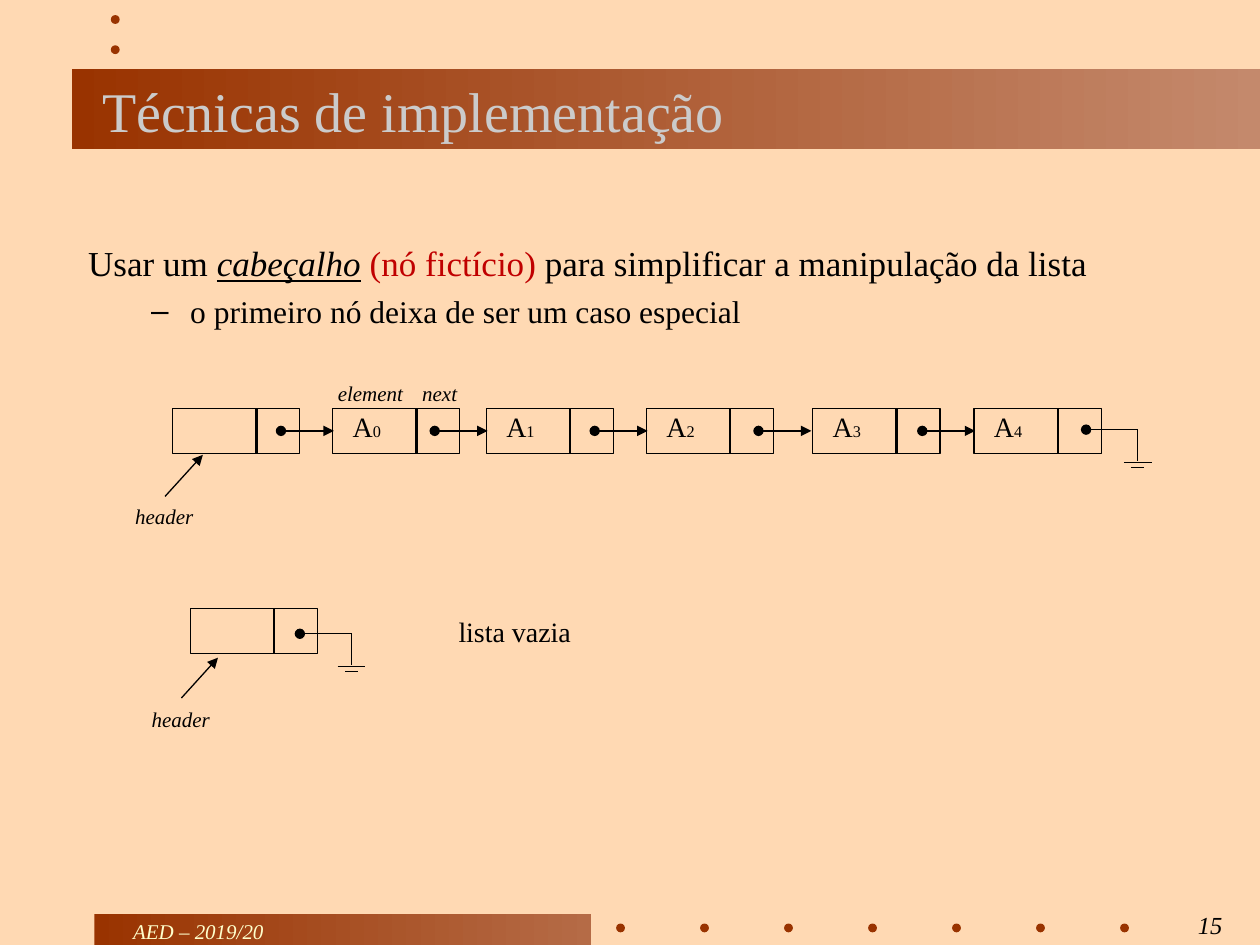
from lxml import etree
from pptx import Presentation
from pptx.dml.color import RGBColor
from pptx.enum.shapes import MSO_CONNECTOR, MSO_SHAPE
from pptx.enum.text import MSO_ANCHOR, MSO_AUTO_SIZE, PP_ALIGN
from pptx.oxml.ns import qn
from pptx.util import Inches, Pt

RECT, OVAL = MSO_SHAPE.RECTANGLE, MSO_SHAPE.OVAL
LINE = MSO_CONNECTOR.STRAIGHT
LEFT, MID, RIGHT = PP_ALIGN.LEFT, PP_ALIGN.CENTER, PP_ALIGN.RIGHT
TOP, CENTER = MSO_ANCHOR.TOP, MSO_ANCHOR.MIDDLE
FIXED = MSO_AUTO_SIZE.NONE

FONT = "Times New Roman"
BLACK = RGBColor(0x00, 0x00, 0x00)
SAND = RGBColor(0xFF, 0xD9, 0xB3)
RUST = RGBColor(0x99, 0x33, 0x00)
CLAY = RGBColor(0xC4, 0x89, 0x6C)
BRICK = RGBColor(0xB5, 0x6B, 0x46)
CREAM = RGBColor(0xFF, 0xFF, 0xCC)
GREY = RGBColor(0xCB, 0xCB, 0xCB)
RED = RGBColor(0xC0, 0x00, 0x00)

TITLE = "Técnicas de implementação"
LEAD = [
    ("Usar um ", {}),
    ("cabeçalho", {"italic": True, "underline": True}),
    (" ", {}),
    ("(nó fictício) ", {"color": RED}),
    ("para simplificar a manipulação da lista", {}),
]
POINT = "o primeiro nó deixa de ser um caso especial"
BANDS = [((0.57, 0.55, 9.43, 0.63), CLAY), ((0.75, 7.25, 3.94, 0.25), BRICK)]
DOTS = [(4.89 + i * 2 / 3, 7.33) for i in range(7)] + [(0.88, 0.12), (0.88, 0.36)]
NODES = [2.64, 3.86, 5.13, 6.45, 7.73]
HEADS = [(1.37, 3.24), (1.51, 4.83)]
LINKS = [2.23, 3.45, 4.72, 6.02, 7.32]
ENDS = [(8.62, 3.41), (2.38, 5.03)]
ARROWS = [(1.31, 3.94, 1.61, 3.61), (1.44, 5.54, 1.73, 5.22)]
NOTES = [
    ("element", (2.58, 2.99, 0.72, 0.28)),
    ("next", (3.25, 2.99, 0.48, 0.28)),
    ("header", (0.97, 3.97, 0.67, 0.28)),
    ("header", (1.1, 5.58, 0.67, 0.28)),
]

deck = Presentation()
deck.slide_width, deck.slide_height = Inches(10), Inches(7.5)
slide = deck.slides.add_slide(deck.slide_layouts[1])
slide.background.fill.solid()
slide.background.fill.fore_color.rgb = SAND
shapes = slide.shapes


def write(para, text, size=12, color=BLACK, italic=False, underline=False,
          base=0, align=LEFT, before=0, lines=1.0):
    para.alignment = align
    para.space_before = Pt(before)
    para.line_spacing = lines
    run = para.add_run()
    run.text = text
    font = run.font
    font.name, font.size = FONT, Pt(size)
    font.italic, font.underline = italic, underline
    font.color.rgb = color
    if base:
        run._r.get_or_add_rPr().set("baseline", str(base))


def place(shape, box):
    shape.left, shape.top, shape.width, shape.height = map(Inches, box)


def frame(shape, wrap=True, pad=(0.1, 0.05), anchor=TOP):
    text = shape.text_frame
    text.word_wrap = wrap
    text.auto_size = FIXED
    text.vertical_anchor = anchor
    text.margin_left, text.margin_top = map(Inches, pad)
    text.margin_right, text.margin_bottom = Inches(0.1), Inches(0.05)
    return text


def label(box, wrap=False, pad=(0.1, 0.05)):
    shape = shapes.add_textbox(*map(Inches, box))
    return frame(shape, wrap, pad).paragraphs[0]


def solid(kind, box):
    shape = shapes.add_shape(kind, *map(Inches, box))
    shape.shadow.inherit = False
    shape.line.fill.background()
    return shape


def band(box, end):
    fill = solid(RECT, box).fill
    fill.gradient()
    fill.gradient_angle = 0
    for stop, color, pos in zip(fill.gradient_stops, (RUST, end), (0, 1)):
        stop.color.rgb = color
        stop.position = pos


def line(x1, y1, x2, y2, head=None, tail=None):
    link = shapes.add_connector(LINE, *map(Inches, (x1, y1, x2, y2)))
    link.line.color.rgb = BLACK
    link.line.width = Pt(0.75)
    stroke = link.line._get_or_add_ln()
    for tag, kind in (("a:headEnd", head), ("a:tailEnd", tail)):
        if kind:
            etree.SubElement(stroke, qn(tag), type=kind)
    etree.SubElement(link._element.spPr, qn("a:effectLst"))


def node(x, y):
    for left, width in ((x, 0.67), (x + 0.66, 0.35)):
        cell = solid(RECT, (left, y, width, 0.36))
        cell.fill.background()
        cell.line.color.rgb = BLACK
        cell.line.width = Pt(0.75)


def ground(x, y):
    stem = x + 0.41
    line(x, y, stem, y, head="oval")
    line(stem, y, stem, y + 0.25)
    for half, drop in ((0.11, 0.26), (0.05, 0.3)):
        line(stem - half, y + drop, stem + half, y + drop)


def indent(para, left, hang, mark=None):
    props = para._p.get_or_add_pPr()
    props.set("marL", str(Inches(left)))
    props.set("indent", str(Inches(-hang)))
    if mark:
        tint = etree.SubElement(props, qn("a:buClr"))
        etree.SubElement(tint, qn("a:srgbClr"), val=str(BLACK))
        etree.SubElement(props, qn("a:buChar"), char=mark)
    else:
        etree.SubElement(props, qn("a:buNone"))


for box, end in BANDS:
    band(box, end)
for x, y in DOTS:
    dot = solid(OVAL, (x, y, 0.07, 0.07))
    dot.fill.solid()
    dot.fill.fore_color.rgb = RUST

write(label((0.74, 7.26, 1.67, 0.28), wrap=True), "AED – 2019/20",
      color=CREAM, italic=True, align=MID, before=7.5, lines=0.9)
write(label((8.26, 7.17, 1.54, 0.5), wrap=True), "15", size=14,
      italic=True, align=RIGHT, before=8.8)

title = shapes.title
place(title, (0.71, 0.5, 8.58, 0.74))
write(frame(title, anchor=CENTER).paragraphs[0], TITLE, size=32, color=GREY)
shapes._spTree.append(title._element)

body = slide.placeholders[1]
place(body, (0.6, 1.49, 9.11, 5.69))
text = frame(body, pad=(0.1, 0.43))
lead, point = text.paragraphs[0], text.add_paragraph()
for part, look in LEAD:
    write(lead, part, size=20, before=5, **look)
indent(lead, 0.38, 0.38)
point.level = 1
write(point, POINT, size=18, before=4.5)
indent(point, 0.81, 0.31, "–")

for i, x in enumerate(NODES):
    node(x, 3.24)
    para = label((x + 0.15, 3.28, 0.34, 0.32), pad=(0, 0))
    for part, base in (("A", 0), (str(i), -25)):
        write(para, part, size=16, base=base, align=MID, before=10, lines=0.9)
for x, y in HEADS:
    node(x, y)
for x in LINKS:
    line(x, 3.42, x + 0.42, 3.42, head="oval", tail="triangle")
for x, y in ENDS:
    ground(x, y)
for ends in ARROWS:
    line(*ends, tail="triangle")
for note, box in NOTES:
    write(label(box), note, italic=True, align=MID, before=3, lines=0.9)
write(label((3.54, 4.86, 1.09, 0.34)), "lista vazia", size=16, align=MID,
      before=4, lines=0.9)

deck.save("out.pptx")
